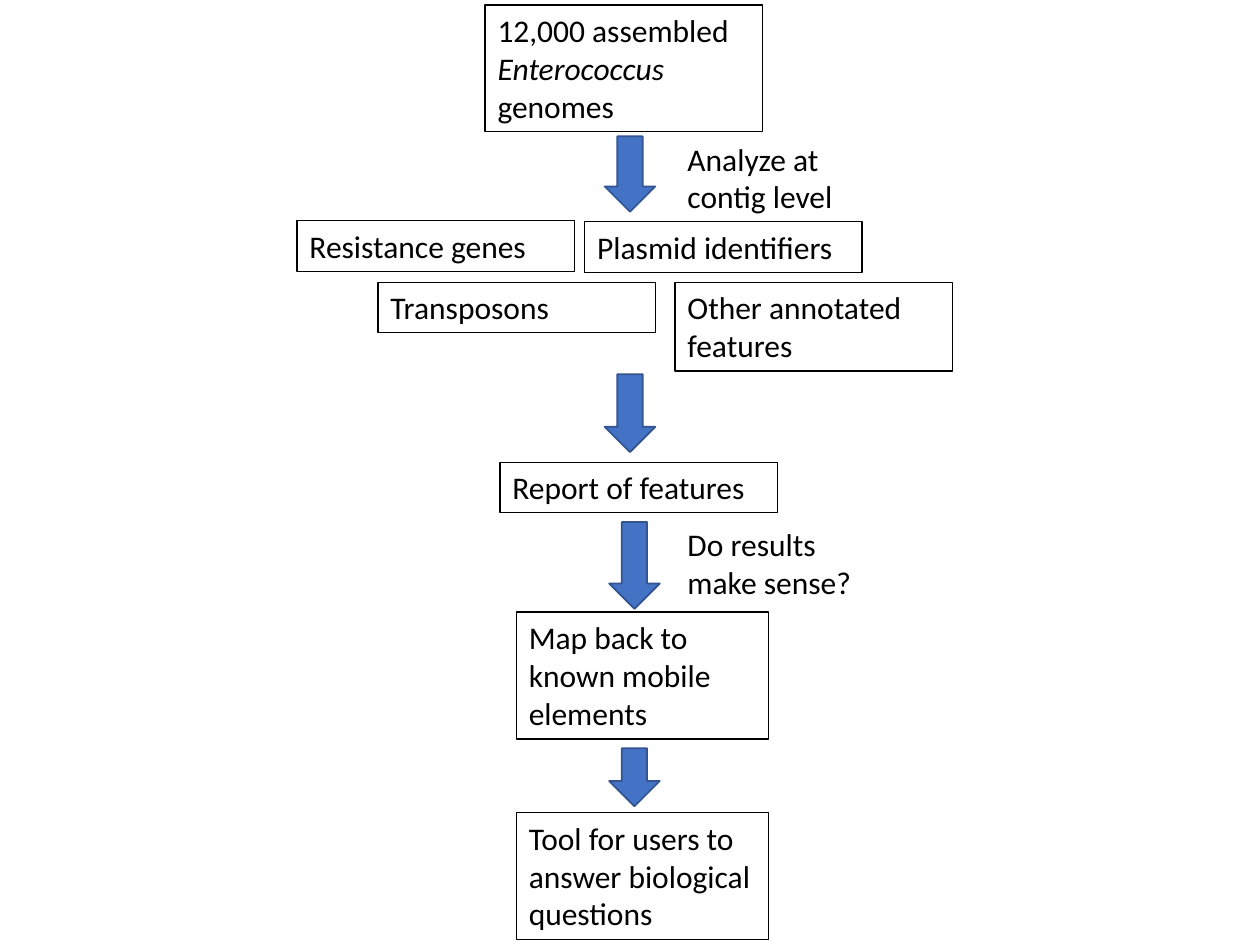
"""Build a flowchart slide of the genome analysis pipeline."""
from pptx import Presentation
from pptx import util as u
from pptx.dml import color
from pptx.enum import shapes, text

COLOURS = {"ink": "000000", "arrow": "4472C4", "arrow_edge": "325491"}
LINE_HEIGHT, PADDING, ARROW_WIDTH = 0.77, 0.25, 1.02
WIDE, NARROW = 5.59, 5.08


def rgb(name):
    return color.RGBColor.from_string(COLOURS[name])


deck = Presentation()
deck.slide_width, deck.slide_height = u.Cm(25.4), u.Cm(19.05)
slide = deck.slides.add_slide(deck.slide_layouts[6])

steps = [
    (9.78, 0.1, WIDE, 3, True, ["12,000 assembled ", "Enterococcus ", "genomes"]),
    (5.99, 4.45, WIDE, 1, True, ["Resistance genes"]),
    (11.79, 4.47, WIDE, 1, True, ["Plasmid identifiers"]),
    (7.62, 5.69, WIDE, 1, True, ["Transposons"]),
    (13.61, 5.69, WIDE, 2, True, ["Other annotated features"]),
    (13.61, 2.69, 4.78, 2, False, ["Analyze at contig level"]),
    (10.08, 9.32, WIDE, 1, True, ["Report of features"]),
    (13.61, 10.46, 4.37, 2, False, ["Do results make sense?"]),
    (10.41, 12.34, NARROW, 3, True, ["Map back to known mobile elements"]),
    (10.41, 16.38, NARROW, 3, True, ["Tool for users to answer biological questions"]),
]
for left, top, width, lines, outlined, wording in steps:
    height = PADDING + LINE_HEIGHT * lines
    step = slide.shapes.add_textbox(u.Cm(left), u.Cm(top), u.Cm(width), u.Cm(height))
    if outlined:
        step.line.color.rgb = rgb("ink")
        step.line.width = u.Pt(0.75)
    step.text_frame.word_wrap = True
    step.text_frame.auto_size = text.MSO_AUTO_SIZE.SHAPE_TO_FIT_TEXT
    for words in wording:
        run = step.text_frame.paragraphs[0].add_run()
        run.text = words
        run.font.name = "Calibri"
        run.font.size = u.Pt(18)
        run.font.italic = words == "Enterococcus "
        run.font.color.rgb = rgb("ink")

flow = [(12.7, 3.51, 1.52), (12.7, 8.33, 1.57), (12.79, 11.4, 1.75), (12.79, 15.67, 1.17)]
for centre_x, centre_y, length in flow:
    arrow = slide.shapes.add_shape(
        shapes.MSO_SHAPE.RIGHT_ARROW,
        u.Cm(centre_x - length / 2), u.Cm(centre_y - ARROW_WIDTH / 2),
        u.Cm(length), u.Cm(ARROW_WIDTH))
    arrow.rotation = 90
    arrow.shadow.inherit = False
    arrow.fill.solid()
    arrow.fill.fore_color.rgb = rgb("arrow")
    arrow.line.color.rgb = rgb("arrow_edge")
    arrow.line.width = u.Pt(1)

deck.save("out.pptx")
